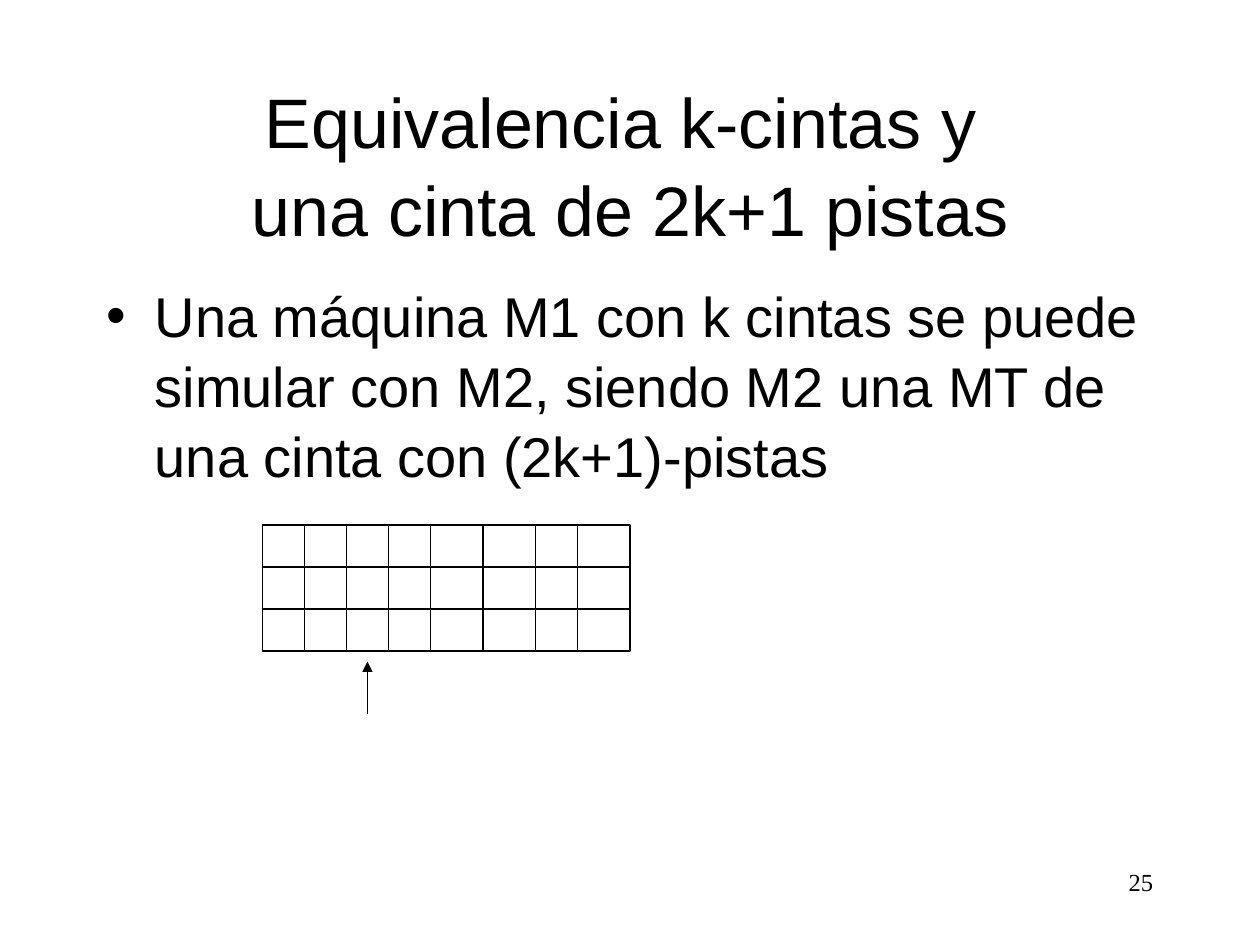
"""Build a slide on simulating k tapes with one tape of 2k+1 tracks."""
from lxml import etree
from pptx import Presentation, util as u
from pptx.dml.color import RGBColor
from pptx.enum import shapes, text
from pptx.oxml.ns import qn

BLACK = RGBColor(0, 0, 0)
WHITE = RGBColor(255, 255, 255)
UNIT = u.Inches(1) // 12
LINE_WIDTH = u.Pt(0.75)

presentation = Presentation()
presentation.slide_width = 120 * UNIT
presentation.slide_height = 90 * UNIT
slide = presentation.slides.add_slide(presentation.slide_layouts[6])
slide.background.fill.solid()
slide.background.fill.fore_color.rgb = WHITE


def add_text(words, left, top, width, height, size, font="Arial", spacing=1.0,
             align=text.PP_ALIGN.LEFT, anchor=text.MSO_ANCHOR.TOP, bullet=None):
    box = slide.shapes.add_textbox(left * UNIT, top * UNIT, width * UNIT, height * UNIT)
    frame = box.text_frame
    frame.word_wrap = True
    frame.vertical_anchor = anchor
    paragraph = frame.paragraphs[0]
    paragraph.text = words
    paragraph.alignment = align
    paragraph.line_spacing = spacing
    if bullet:
        properties = paragraph._p.get_or_add_pPr()
        properties.set("marL", str(u.Inches(0.38)))
        properties.set("indent", str(-u.Inches(0.38)))
        etree.SubElement(properties, qn("a:buFont"), typeface=font)
        etree.SubElement(properties, qn("a:buChar"), char=bullet)
    paragraph.font.size = u.Pt(size)
    for run in paragraph.runs:
        run.font.name = font
        run.font.size = u.Pt(size)
        run.font.color.rgb = BLACK


add_text("25", 86, 82, 25, 6, 14, font="Times New Roman", align=text.PP_ALIGN.RIGHT)
add_text("Equivalencia k-cintas y \vuna cinta de 2k+1 pistas", 9, 8, 102, 15, 40,
         spacing=1.04, align=text.PP_ALIGN.CENTER, anchor=text.MSO_ANCHOR.MIDDLE)
add_text("Una máquina M1 con k cintas se puede simular con M2, siendo M2 una MT de "
         "una cinta con (2k+1)-pistas", 9, 26, 102, 54, 32, spacing=1.04, bullet="•")

TRACK_TOP, TRACK_HEIGHT, TRACK_COUNT = 50, 4, 3
CELL_SPANS = [(25, 35), (33, 18), (29, 26), (37, 9), (37, 4)]
for track in range(TRACK_COUNT):
    group = slide.shapes.add_group_shape()
    top = TRACK_TOP + track * TRACK_HEIGHT
    for left, width in CELL_SPANS:
        cell = group.shapes.add_shape(shapes.MSO_SHAPE.RECTANGLE, left * UNIT, top * UNIT,
                                      width * UNIT, TRACK_HEIGHT * UNIT)
        cell.shadow.inherit = False
        cell.fill.background()
        cell.line.color.rgb = BLACK
        cell.line.width = LINE_WIDTH

head = slide.shapes.add_connector(shapes.MSO_CONNECTOR.STRAIGHT,
                                  35 * UNIT, 68 * UNIT, 35 * UNIT, 63 * UNIT)
head.line.color.rgb = BLACK
head.line.width = LINE_WIDTH
etree.SubElement(head.line._get_or_add_ln(), qn("a:tailEnd"), type="triangle")
etree.SubElement(head._element.spPr, qn("a:effectLst"))

presentation.save("out.pptx")
